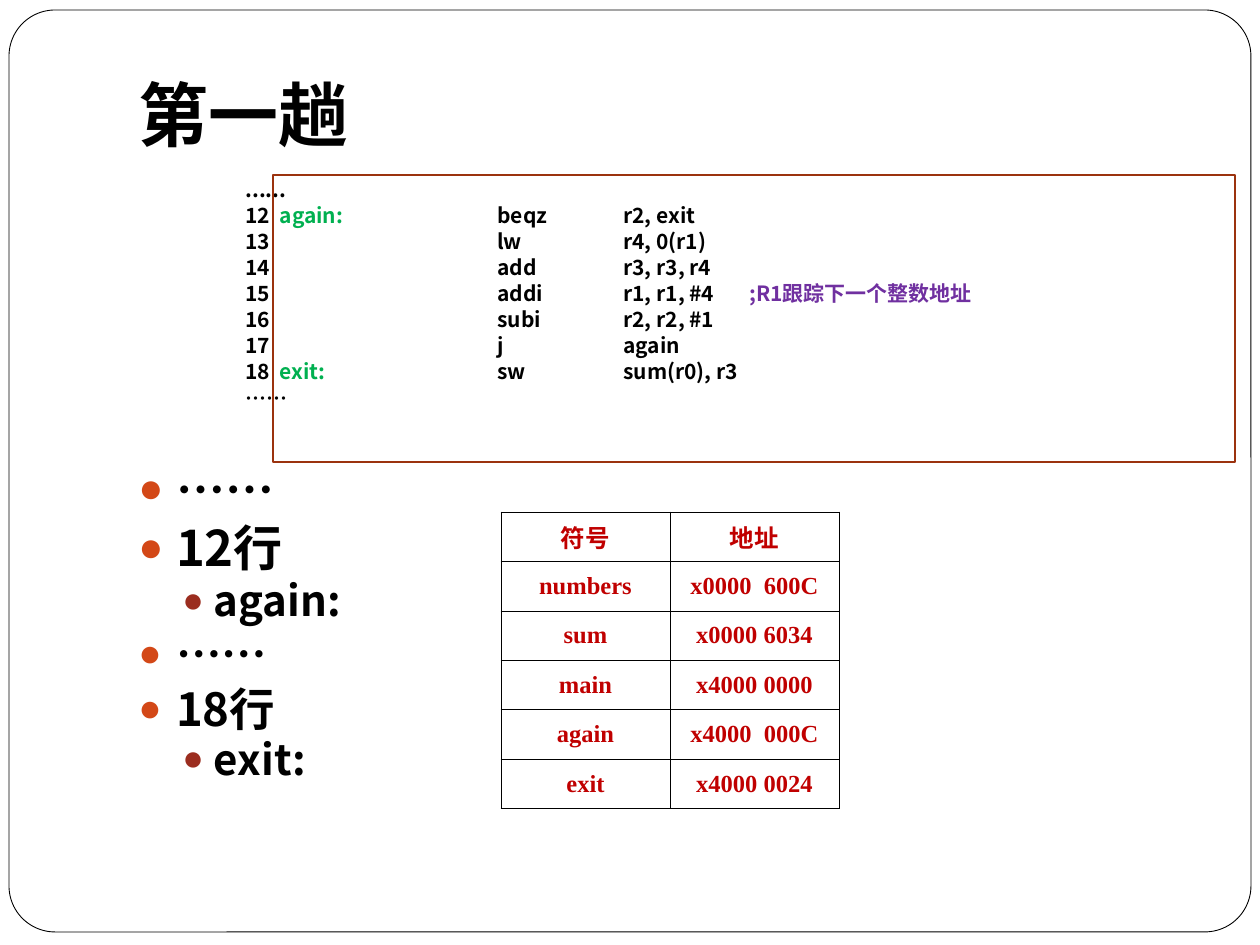
import dataclasses

import lxml.etree
import pptx
import pptx.dml.color
import pptx.enum.shapes
import pptx.enum.text
import pptx.oxml.ns
import pptx.util

PX = 914400 / 126
qn = pptx.oxml.ns.qn


@dataclasses.dataclass(frozen=True)
class Theme:
    sans: str = "Noto Sans CJK SC"
    serif: str = "Times New Roman"
    black: str = "000000"
    white: str = "FFFFFF"
    label: str = "00B050"
    comment: str = "7030A0"
    table: str = "C00000"
    border: str = "9B320E"
    bullets: tuple = ("D34817", "9B2D1F")
    title_size: int = 40
    code_size: int = 12
    table_size: int = 14


def px(length):
    return pptx.util.Emu(round(length * PX))


def rgb(value):
    return pptx.dml.color.RGBColor.from_string(value)


def add_xml(parent, tag, **attributes):
    return lxml.etree.SubElement(parent, qn(tag), attributes)


class Page:
    def __init__(self, deck, theme):
        self.theme = theme
        self.slide = deck.slides.add_slide(deck.slide_layouts[5])

    def style(self, para, size, color, latin=None):
        font = para.font
        font.size = pptx.util.Pt(size)
        font.bold = True
        font.color.rgb = rgb(color)
        font.name = latin or self.theme.sans
        properties = para._p.get_or_add_pPr().find(qn("a:defRPr"))
        add_xml(properties, "a:ea", typeface=self.theme.sans)

    def frame(self, kind, bounds, line, width, fill=None):
        shape = self.slide.shapes.add_shape(kind, *map(px, bounds))
        shape.shadow.inherit = False
        shape.line.color.rgb = rgb(line)
        shape.line.width = pptx.util.Pt(width)
        if fill:
            shape.fill.solid()
            shape.fill.fore_color.rgb = rgb(fill)
        else:
            shape.fill.background()
        return shape

    def backdrop(self, bounds):
        shape = self.frame(pptx.enum.shapes.MSO_SHAPE.ROUNDED_RECTANGLE, bounds,
                           self.theme.black, 0.5, self.theme.white)
        shape.adjustments[0] = 0.05
        self.slide.shapes._spTree.insert(2, shape._element)

    def title(self, text, bounds):
        box = self.slide.shapes.title
        box.left, box.top, box.width, box.height = map(px, bounds)
        box.text_frame.text = text
        box.text_frame.auto_size = pptx.enum.text.MSO_AUTO_SIZE.NONE
        box.text_frame.vertical_anchor = pptx.enum.text.MSO_ANCHOR.MIDDLE
        box.text_frame.margin_bottom = pptx.util.Inches(0.1)
        para = box.text_frame.paragraphs[0]
        para.alignment = pptx.enum.text.PP_ALIGN.LEFT
        self.style(para, self.theme.title_size, self.theme.black)

    def paragraphs(self, bounds, count, line_spacing):
        box = self.slide.shapes.add_textbox(*map(px, bounds))
        box.text_frame.word_wrap = True
        for index in range(count):
            para = box.text_frame.add_paragraph() if index else box.text_frame.paragraphs[0]
            para.line_spacing = line_spacing
            yield para

    def code(self, lines, bounds):
        for index, (para, spans) in enumerate(zip(self.paragraphs(bounds, len(lines), 0.8), lines)):
            if index:
                para.space_before = pptx.util.Pt(3.4)
            tabs = add_xml(para._p.get_or_add_pPr(), "a:tabLst")
            for inch in range(1, 5):
                add_xml(tabs, "a:tab", pos=str(pptx.util.Inches(inch)), algn="l")
            self.style(para, self.theme.code_size, self.theme.black)
            for text, color in spans:
                span = para.add_run()
                span.text = text
                if color:
                    span.font.color.rgb = rgb(color)

    def bullets(self, items, bounds):
        for index, (para, item) in enumerate(zip(self.paragraphs(bounds, len(items), 0.85), items)):
            text, level, size = item
            para.text = text
            para.level = level
            if index:
                para.space_before = pptx.util.Pt((5, 3.2)[level])
            properties = para._p.get_or_add_pPr()
            properties.set("marL", str(pptx.util.Inches((0.3, 0.6)[level])))
            properties.set("indent", str(pptx.util.Inches((-0.3, -0.25)[level])))
            add_xml(add_xml(properties, "a:buClr"), "a:srgbClr", val=self.theme.bullets[level])
            add_xml(properties, "a:buSzPct", val="85000")
            add_xml(properties, "a:buFont", typeface=self.theme.serif)
            add_xml(properties, "a:buChar", char="●")
            self.style(para, size, self.theme.black)

    def cell_border(self, cell):
        properties = cell._tc.get_or_add_tcPr()
        for position, side in enumerate(("a:lnL", "a:lnR", "a:lnT", "a:lnB")):
            line = lxml.etree.Element(qn(side), w=str(pptx.util.Pt(0.45)))
            add_xml(add_xml(line, "a:solidFill"), "a:srgbClr", val=self.theme.black)
            properties.insert(position, line)

    def table(self, rows, bounds):
        shape = self.slide.shapes.add_table(len(rows), len(rows[0]), *map(px, bounds))
        for row, texts in zip(shape.table.rows, rows):
            for cell, text in zip(row.cells, texts):
                cell.text = text
                cell.fill.background()
                cell.vertical_anchor = pptx.enum.text.MSO_ANCHOR.MIDDLE
                cell.margin_left = cell.margin_right = pptx.util.Inches(0.08)
                para = cell.text_frame.paragraphs[0]
                para.alignment = pptx.enum.text.PP_ALIGN.CENTER
                self.style(para, self.theme.table_size, self.theme.table, self.theme.serif)
                self.cell_border(cell)


def main():
    deck = pptx.Presentation()
    deck.slide_width, deck.slide_height = px(1260), px(945)
    theme = Theme()
    page = Page(deck, theme)
    page.backdrop((9, 10, 1242, 922))
    page.title("第一趟", (126, 38, 1071, 157))
    page.bullets([
        ("……", 0, 28), ("12行", 0, 28), ("again:", 1, 24),
        ("……", 0, 26), ("18行", 0, 26), ("exit:", 1, 24),
    ], (126, 462, 1010, 407))
    page.table([
        ("符号", "地址"),
        ("numbers", "x0000  600C"),
        ("sum", "x0000 6034"),
        ("main", "x4000 0000"),
        ("again", "x4000  000C"),
        ("exit", "x4000 0024"),
    ], (501, 512, 338, 297))
    page.code([
        [("......", None)],
        [("12  ", None), ("again:", theme.label), ("\t\tbeqz\tr2, exit", None)],
        [("13\t\tlw\tr4, 0(r1)", None)],
        [("14\t\tadd\tr3, r3, r4", None)],
        [("15\t\taddi\tr1, r1, #4\t", None), (";R1跟踪下一个整数地址", theme.comment)],
        [("16\t\tsubi\tr2, r2, #1", None)],
        [("17\t\tj\tagain", None)],
        [("18  ", None), ("exit:", theme.label), ("\t\tsw\tsum(r0), r3", None)],
        [("……", None)],
    ], (233, 175, 1002, 278))
    page.frame(pptx.enum.shapes.MSO_SHAPE.RECTANGLE, (273, 175, 962, 287), theme.border, 1)
    deck.save("out.pptx")


if __name__ == "__main__":
    main()
